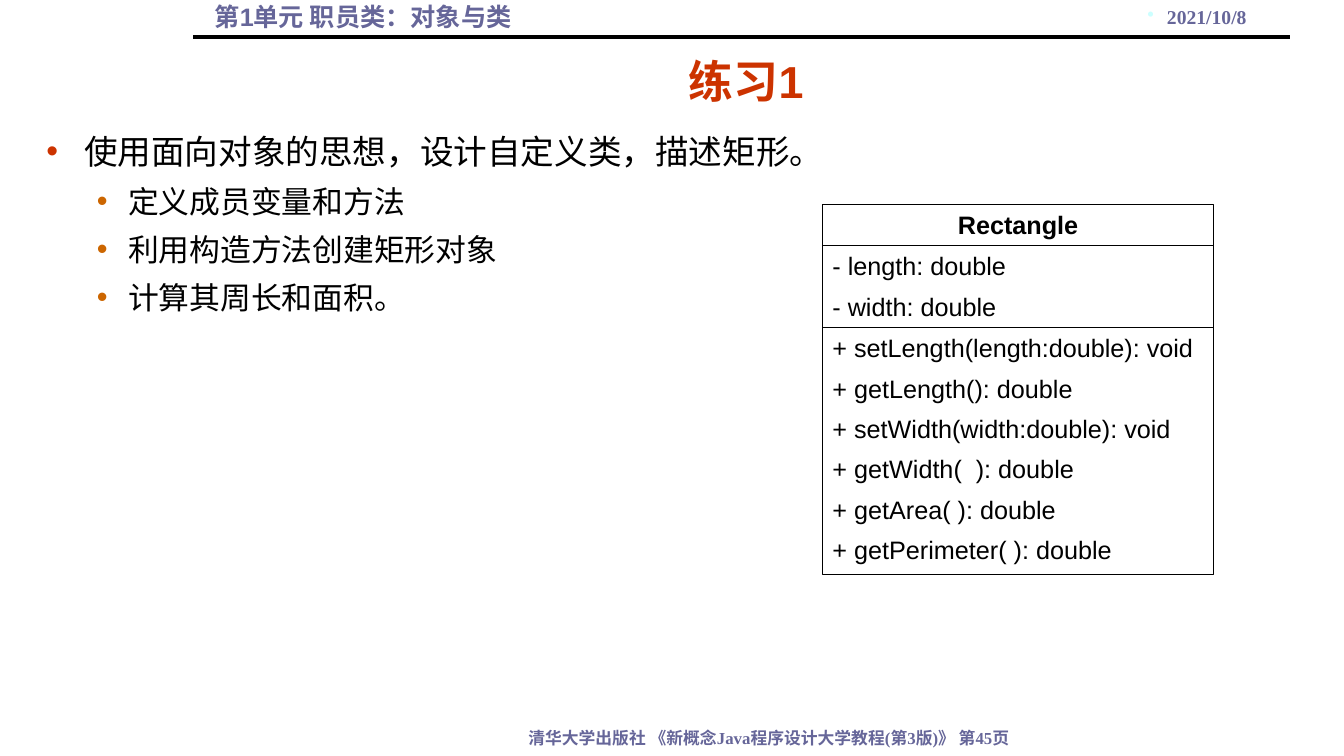
from lxml import etree
from pptx import Presentation
from pptx.dml.color import RGBColor
from pptx.enum.shapes import MSO_CONNECTOR, MSO_SHAPE
from pptx.enum.text import MSO_ANCHOR, MSO_AUTO_SIZE, PP_ALIGN
from pptx.oxml.ns import qn
from pptx.util import Pt

LEFT, CENTER = PP_ALIGN.LEFT, PP_ALIGN.CENTER
TOP, BOTTOM = MSO_ANCHOR.TOP, MSO_ANCHOR.BOTTOM
NO_AUTOFIT = MSO_AUTO_SIZE.NONE
STRAIGHT = MSO_CONNECTOR.STRAIGHT
RECTANGLE = MSO_SHAPE.RECTANGLE

SANS, SERIF, CHINESE = "Arial", "Times New Roman", "Noto Sans CJK SC"
BLACK, SLATE, RED, ORANGE, CYAN = "000000", "666699", "CC3300", "CC6600", "CCFFFF"

TASK = "使用面向对象的思想，设计自定义类，描述矩形。"
STEPS = ["定义成员变量和方法", "利用构造方法创建矩形对象", "计算其周长和面积。"]
FIELDS = ["- length: double", "- width: double"]
METHODS = [
    "+ setLength(length:double): void",
    "+ getLength(): double",
    "+ setWidth(width:double): void",
    "+ getWidth(  ): double",
    "+ getArea( ): double",
    "+ getPerimeter( ): double",
]


def color(value):
    return RGBColor.from_string(value)


def set_values(target, values):
    for name, value in values.items():
        setattr(target, name, value)


def set_frame(shape, anchor=TOP, **margins):
    frame = shape.text_frame
    set_values(frame, {"word_wrap": True, "auto_size": NO_AUTOFIT,
                       "vertical_anchor": anchor})
    set_values(frame, {f"margin_{side}": Pt(size) for side, size in margins.items()})
    return frame


def add_bullet(paragraph, bullet_color, margin, hanging):
    properties = paragraph._p.get_or_add_pPr()
    properties.set("marL", str(Pt(margin)))
    properties.set("indent", str(-Pt(hanging)))
    holder = etree.SubElement(properties, qn("a:buClr"))
    etree.SubElement(holder, qn("a:srgbClr"), val=bullet_color)
    etree.SubElement(properties, qn("a:buChar"), char="•")


def write(frame, lines, size, font=SANS, text_color=BLACK, bold=False, align=LEFT, gap=0):
    for index, line in enumerate(lines):
        paragraph = frame.paragraphs[0] if index == 0 else frame.add_paragraph()
        write_line(paragraph, line, size, font, text_color, bold, align,
                   gap if index else 0)


def write_line(paragraph, text, size, font, text_color, bold, align, gap):
    set_values(paragraph, {"alignment": align, "space_before": Pt(gap)})
    run = paragraph.add_run()
    run.text = text
    set_values(run.font, {"name": font, "size": Pt(size), "bold": bold})
    run.font.color.rgb = color(text_color)
    etree.SubElement(run._r.get_or_add_rPr(), qn("a:ea"), typeface=CHINESE)


def place(shape, left, top, width, height):
    set_values(shape, {"left": Pt(left), "top": Pt(top),
                       "width": Pt(width), "height": Pt(height)})


def add_label(slide, box, text, size, font, align=LEFT, bullet=None, **margins):
    shape = slide.shapes.add_textbox(*map(Pt, box))
    frame = set_frame(shape, **margins)
    if bullet:
        add_bullet(frame.paragraphs[0], bullet, 14, 14)
    write(frame, [text], size, font, SLATE, True, align)


def add_rule(slide, left, right, top):
    rule = slide.shapes.add_connector(STRAIGHT, Pt(left), Pt(top), Pt(right), Pt(top))
    rule.line.color.rgb = color(BLACK)
    rule.line.width = Pt(3)
    etree.SubElement(rule._element.spPr, qn("a:effectLst"))


def fill_title(slide, text):
    title = slide.shapes.title
    place(title, 131, 30.2, 804.2, 48.2)
    frame = set_frame(title, BOTTOM, top=0, bottom=1.5)
    write(frame, [text], 32, SANS, RED, True, CENTER)


def fill_body(slide):
    body = slide.placeholders[1]
    place(body, 25.9, 87.8, 895, 157)
    frame = set_frame(body)
    for index, text in enumerate([TASK] + STEPS):
        paragraph = frame.add_paragraph() if index else frame.paragraphs[0]
        if index:
            paragraph.level = 1
            add_bullet(paragraph, ORANGE, 58.5, 22.5)
            size, line_height, gap = 22, 26.6, 7.7
        else:
            add_bullet(paragraph, RED, 27, 27)
            size, line_height, gap = 24, 31, 0
        paragraph.line_spacing = Pt(line_height)
        write_line(paragraph, text, size, CHINESE, BLACK, False, LEFT, gap)


def add_class_diagram(slide, left, top, width):
    sections = [
        (29.2, ["Rectangle"], {"bold": True, "align": CENTER}),
        (58.7, FIELDS, {}),
        (176.3, METHODS, {}),
    ]
    for height, lines, style in sections:
        section = slide.shapes.add_shape(RECTANGLE, Pt(left), Pt(top), Pt(width), Pt(height))
        section.shadow.inherit = False
        section.fill.background()
        section.line.color.rgb = color(BLACK)
        section.line.width = Pt(0.75)
        write(set_frame(section), lines, 18, gap=7.2, **style)
        top += height


def main():
    presentation = Presentation()
    set_values(presentation, {"slide_width": Pt(960), "slide_height": Pt(540)})
    slide = presentation.slides.add_slide(presentation.slide_layouts[1])
    add_label(slide, (301.7, 518.4, 497.5, 21.6),
              "清华大学出版社 《新概念Java程序设计大学教程(第3版)》 第45页 ",
              12, SERIF, CENTER, top=1.6)
    add_label(slide, (146.2, 0, 340.6, 28.8), "第1单元 职员类：对象与类", 18, SANS, top=1)
    add_rule(slide, 138.2, 921.6, 26.2)
    fill_title(slide, "练习1")
    fill_body(slide)
    add_label(slide, (758.2, 0, 201.6, 22.3), "2021/10/8", 14, SERIF, CENTER, CYAN, right=15)
    add_class_diagram(slide, 587.5, 146.2, 279.4)
    presentation.save("out.pptx")


if __name__ == "__main__":
    main()
